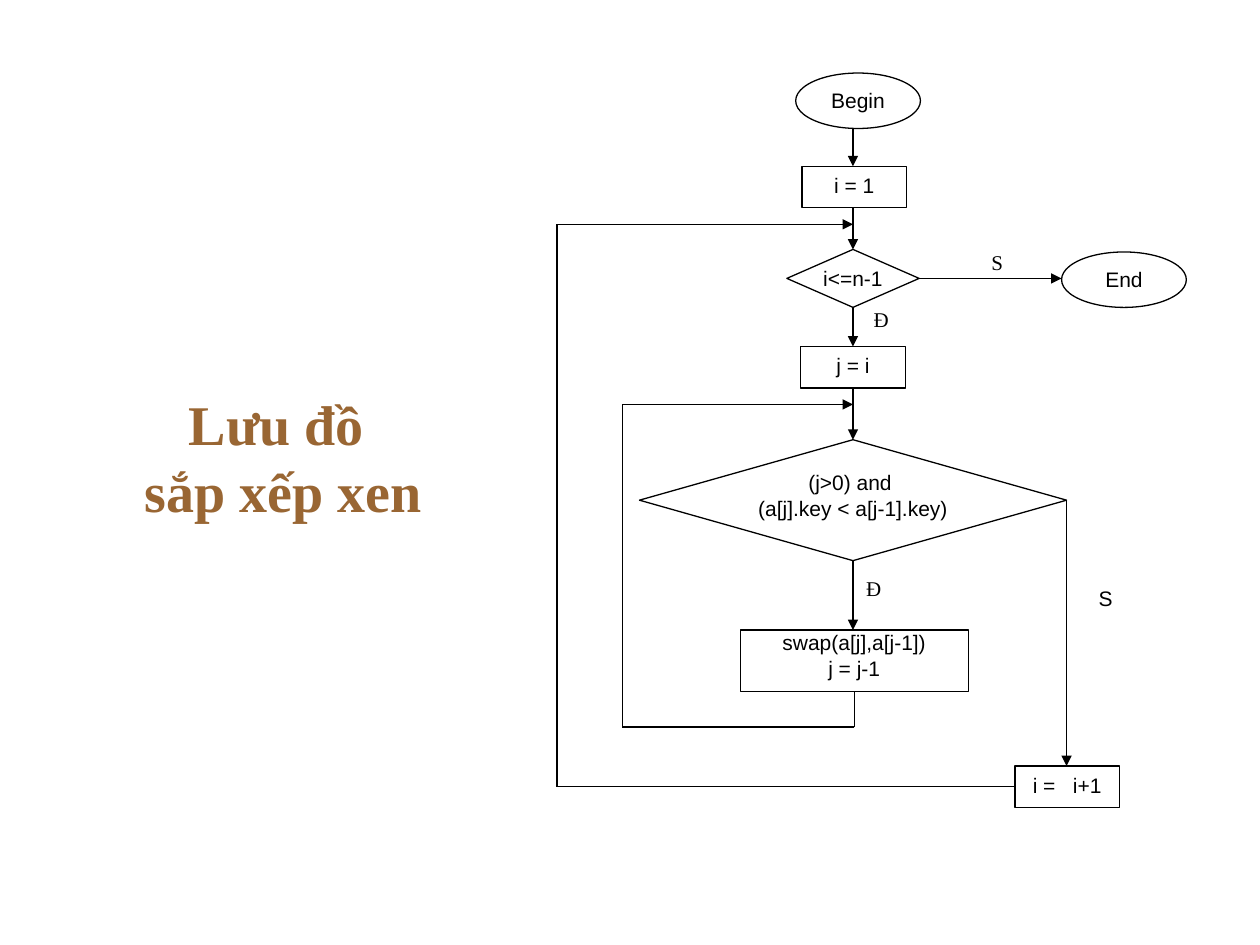
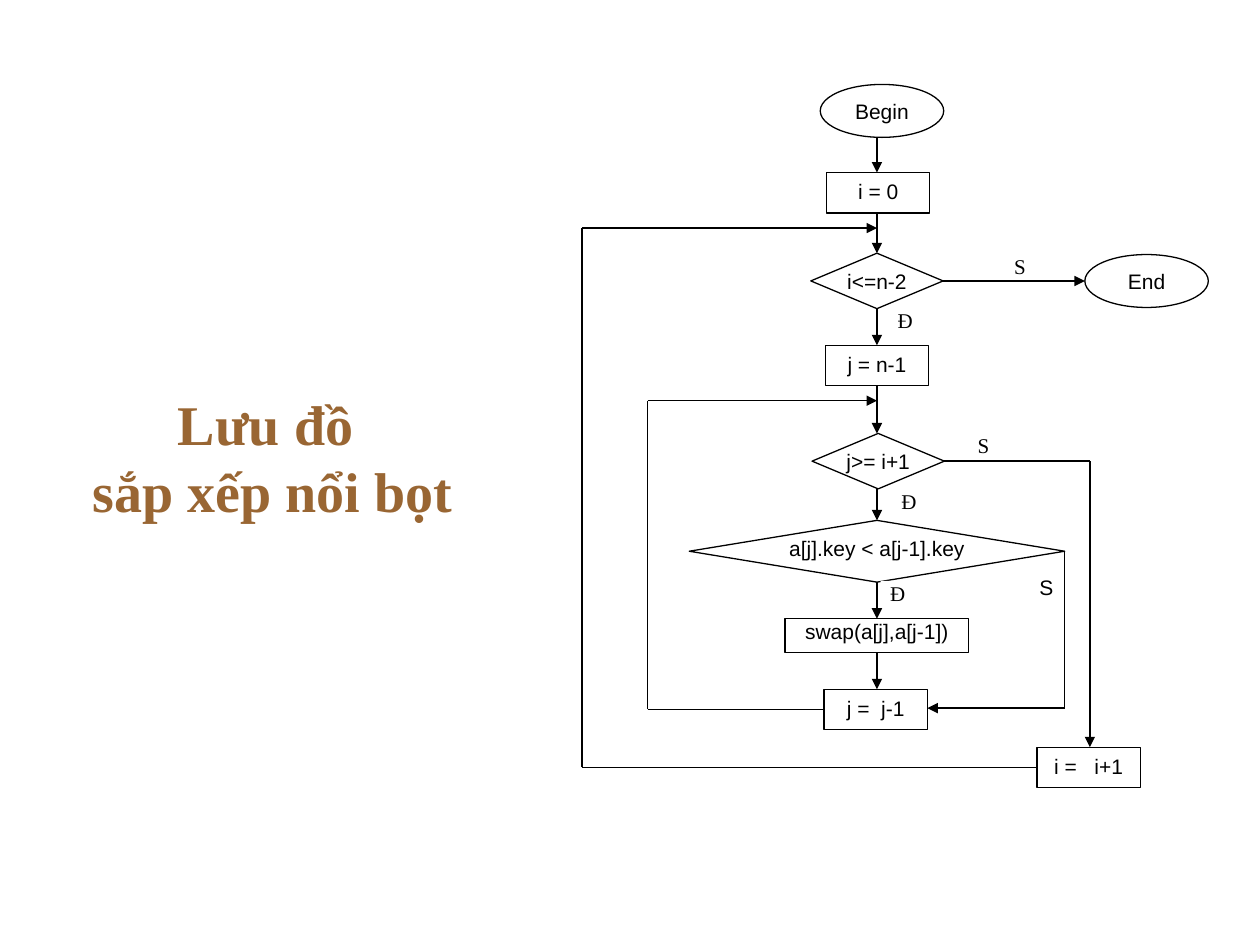
import itertools

import pptx
import pptx.dml.color
import pptx.enum.shapes
import pptx.enum.text
import pptx.oxml
import pptx.oxml.ns
import pptx.util

BROWN = pptx.dml.color.RGBColor(0x99, 0x66, 0x33)
BLACK = pptx.dml.color.RGBColor(0x00, 0x00, 0x00)
WHITE = pptx.dml.color.RGBColor(0xFF, 0xFF, 0xFF)
SANS, SERIF = "Arial", "Times New Roman"
SLIDE_SIZE = (10, 7.5)
LINE_WIDTH = pptx.util.Pt(0.75)
TITLE_FONT = {"name": SERIF, "size": pptx.util.Pt(32), "bold": True}
TEXT_SIZE = pptx.util.Pt(12)

PRESETS = pptx.enum.shapes.MSO_SHAPE
# Node kinds: preset shape, horizontal inset, vertical inset
KINDS = {
    "terminal": (PRESETS.OVAL, 0.1, 0.05),
    "step": (PRESETS.RECTANGLE, 0.1, 0.05),
    "test": (PRESETS.FLOWCHART_DECISION, 0, 0.01),
    "compare": (PRESETS.FLOWCHART_DECISION, 0, 0),
    "swap": (PRESETS.RECTANGLE, 0, 0),
}

# nodes: name -> (kind, text lines, column, shift from column, top)
# spine: nodes joined downwards by arrows
# routes: start (node, side), then moves along x or y to a column, a node side or
#         a length; the last value tells whether the route ends in an arrowhead
# labels: (text, font, left, top)
INSERTION_SORT = {
    "title": (["Lưu đồ ", "sắp xếp xen"], 0.25, 4),
    "columns": {"outer": 4.42, "inner": 4.94, "main": 6.77, "skip": 8.48, "end": 8.92},
    "sizes": {"terminal": (0.99, 0.44), "step": (0.83, 0.33), "test": (1.05, 0.46),
              "compare": (3.39, 0.96), "swap": (1.81, 0.49), "label": (0.27, 0.2)},
    "nodes": {
        "begin": ("terminal", ["Begin"], "main", 0.04, 0.58),
        "start": ("step", ["i = 1"], "main", 0.01, 1.32),
        "outer test": ("test", ["i<=n-1"], "main", 0, 1.98),
        "end": ("terminal", ["End"], "end", 0, 2),
        "set j": ("step", ["j = i"], "main", 0, 2.75),
        "compare": ("compare", ["(j>0) and ", "(a[j].key < a[j-1].key)"], "main", 0, 3.49),
        "swap": ("swap", ["swap(a[j],a[j-1])", "j = j-1"], "main", 0.01, 5),
        "next i": ("step", ["i =   i+1"], "skip", -0.01, 6.08),
    },
    "spine": ["begin", "start", "outer test", "set j", "compare", "swap"],
    "routes": [
        (("outer test", "right"), [("x", ("end", "left"))]),
        (("compare", "right"), [("y", ("next i", "top"))]),
        (("next i", "left"), [("x", "outer"), ("y", 1.78), ("x", "main")]),
        (("swap", "bottom"), [("y", 5.77), ("x", "inner"), ("y", 3.21), ("x", "main")]),
    ],
    "labels": [("S", SERIF, 7.78, 1.98), ("Đ", SERIF, 6.86, 2.43),
               ("Đ", SERIF, 6.8, 4.57), ("S", SANS, 8.64, 4.65)],
}

BUBBLE_SORT = {
    "title": (["Lưu đồ ", "sắp xếp nổi bọt"], 0, 4.33),
    "columns": {"outer": 4.62, "inner": 5.14, "main": 6.96, "skip": 8.65, "end": 9.1},
    "sizes": {"terminal": (0.98, 0.42), "step": (0.82, 0.32), "test": (1.05, 0.44),
              "compare": (2.98, 0.49), "swap": (1.46, 0.27), "label": (0.27, 0.19)},
    "nodes": {
        "begin": ("terminal", ["Begin"], "main", 0.04, 0.67),
        "start": ("step", ["i = 0"], "main", 0.01, 1.37),
        "outer test": ("test", ["i<=n-2"], "main", 0, 2.01),
        "end": ("terminal", ["End"], "end", 0, 2.02),
        "set j": ("step", ["j = n-1"], "main", 0, 2.74),
        "inner test": ("test", ["j>= i+1"], "main", 0.01, 3.44),
        "compare": ("compare", ["a[j].key < a[j-1].key"], "main", 0, 4.13),
        "swap": ("swap", ["swap(a[j],a[j-1])"], "main", 0, 4.91),
        "next j": ("step", ["j =  j-1"], "main", -0.01, 5.47),
        "next i": ("step", ["i =   i+1"], "skip", -0.01, 5.93),
    },
    "spine": ["begin", "start", "outer test", "set j", "inner test",
              "compare", "swap", "next j"],
    "routes": [
        (("outer test", "right"), [("x", ("end", "left"))]),
        (("inner test", "right"), [("x", "skip"), ("y", ("next i", "top"))]),
        (("compare", "right"), [("y", 5.62), ("x", ("next j", "right"))]),
        (("next i", "left"), [("x", "outer"), ("y", 1.81), ("x", "main")]),
        (("next j", "left"), [("x", "inner"), ("y", 3.18), ("x", "main")]),
    ],
    "labels": [("S", SERIF, 7.96, 2.01), ("Đ", SERIF, 7.05, 2.44), ("Đ", SERIF, 6.99, 4.61),
               ("S", SANS, 8.17, 4.56), ("Đ", SERIF, 7.08, 3.88), ("S", SERIF, 7.67, 3.43)],
}


def inches(*lengths):
    return [pptx.util.Inches(length) for length in lengths]


def apply(target, formats):
    for name, value in formats.items():
        setattr(target, name, value)


def write(shape, lines, font, color, anchor, insets):
    frame = shape.text_frame
    horizontal, vertical = inches(*insets)
    apply(frame, {"word_wrap": True, "vertical_anchor": anchor,
                  "margin_left": horizontal, "margin_right": horizontal,
                  "margin_top": vertical, "margin_bottom": vertical})
    frame.text = "\n".join(lines)
    for paragraph in frame.paragraphs:
        paragraph.alignment = pptx.enum.text.PP_ALIGN.CENTER
        for run in paragraph.runs:
            apply(run.font, font)
            run.font.color.rgb = color


def add_box(slide, preset, box, lines, font_name, insets=(0, 0), outlined=True):
    shape = slide.shapes.add_shape(preset, *inches(*box))
    shape.shadow.inherit = False
    shape.fill.solid()
    shape.fill.fore_color.rgb = WHITE
    if outlined:
        shape.line.color.rgb = BLACK
        shape.line.width = LINE_WIDTH
    else:
        shape.line.fill.background()
    write(shape, lines, {"name": font_name, "size": TEXT_SIZE}, BLACK,
          pptx.enum.text.MSO_ANCHOR.TOP, insets)


def add_route(slide, points):
    """Join the points with straight lines, the last one ending in an arrowhead."""
    for start, end in itertools.pairwise(points):
        connector = slide.shapes.add_connector(
            pptx.enum.shapes.MSO_CONNECTOR.STRAIGHT, *inches(*start, *end))
        connector.line.color.rgb = BLACK
        connector.line.width = LINE_WIDTH
        properties = connector._element.spPr
        if end == points[-1]:
            head = pptx.oxml.parse_xml(
                f'<a:tailEnd {pptx.oxml.ns.nsdecls("a")} type="triangle"/>')
            connector.line._get_or_add_ln().append(head)
        properties.append(pptx.oxml.parse_xml(
            f'<a:effectLst {pptx.oxml.ns.nsdecls("a")}/>'))


def node_box(chart, name):
    kind, _, column, shift, top = chart["nodes"][name]
    width, height = chart["sizes"][kind]
    return chart["columns"][column] + shift - width / 2, top, width, height


def side_point(chart, name, side):
    left, top, width, height = node_box(chart, name)
    across, down = {"left": (0, 0.5), "right": (1, 0.5),
                    "top": (0.5, 0), "bottom": (0.5, 1)}[side]
    return left + across * width, top + down * height


def route_points(chart, start, moves):
    points = [side_point(chart, *start)]
    for axis, goal in moves:
        index = "xy".index(axis)
        if isinstance(goal, tuple):
            goal = side_point(chart, *goal)[index]
        elif isinstance(goal, str):
            goal = chart["columns"][goal]
        point = list(points[-1])
        point[index] = goal
        points.append(tuple(point))
    return points


def add_title(slide, lines, left, width):
    title = slide.shapes.add_textbox(*inches(left, 3, width, 1.25))
    write(title, ["\v".join(lines)], TITLE_FONT, BROWN,
          pptx.enum.text.MSO_ANCHOR.MIDDLE, (0.1, 0.05))


def add_flowchart(presentation, chart):
    slide = presentation.slides.add_slide(presentation.slide_layouts[6])
    add_title(slide, *chart["title"])
    for name, (kind, lines, *_) in chart["nodes"].items():
        preset, *insets = KINDS[kind]
        add_box(slide, preset, node_box(chart, name), lines, SANS, insets)
    for text, font_name, left, top in chart["labels"]:
        add_box(slide, PRESETS.RECTANGLE, (left, top, *chart["sizes"]["label"]),
                [text], font_name, outlined=False)
    main = chart["columns"]["main"]
    for upper, lower in itertools.pairwise(chart["spine"]):
        add_route(slide, [(main, side_point(chart, upper, "bottom")[1]),
                          (main, side_point(chart, lower, "top")[1])])
    for start, moves in chart["routes"]:
        add_route(slide, route_points(chart, start, moves))


def main():
    presentation = pptx.Presentation()
    presentation.slide_width, presentation.slide_height = inches(*SLIDE_SIZE)
    for chart in (INSERTION_SORT, BUBBLE_SORT):
        add_flowchart(presentation, chart)
    presentation.save("out.pptx")


if __name__ == "__main__":
    main()
